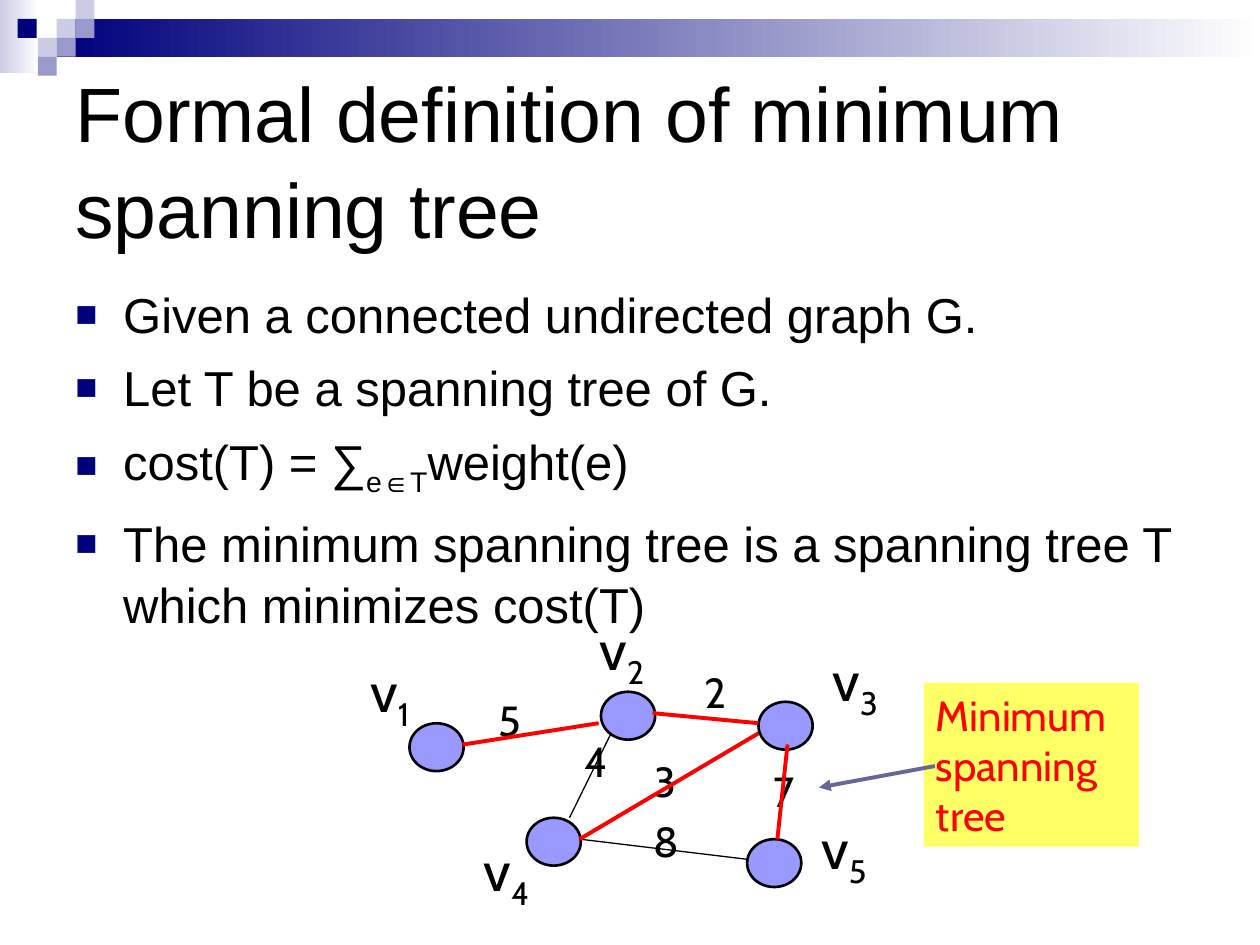
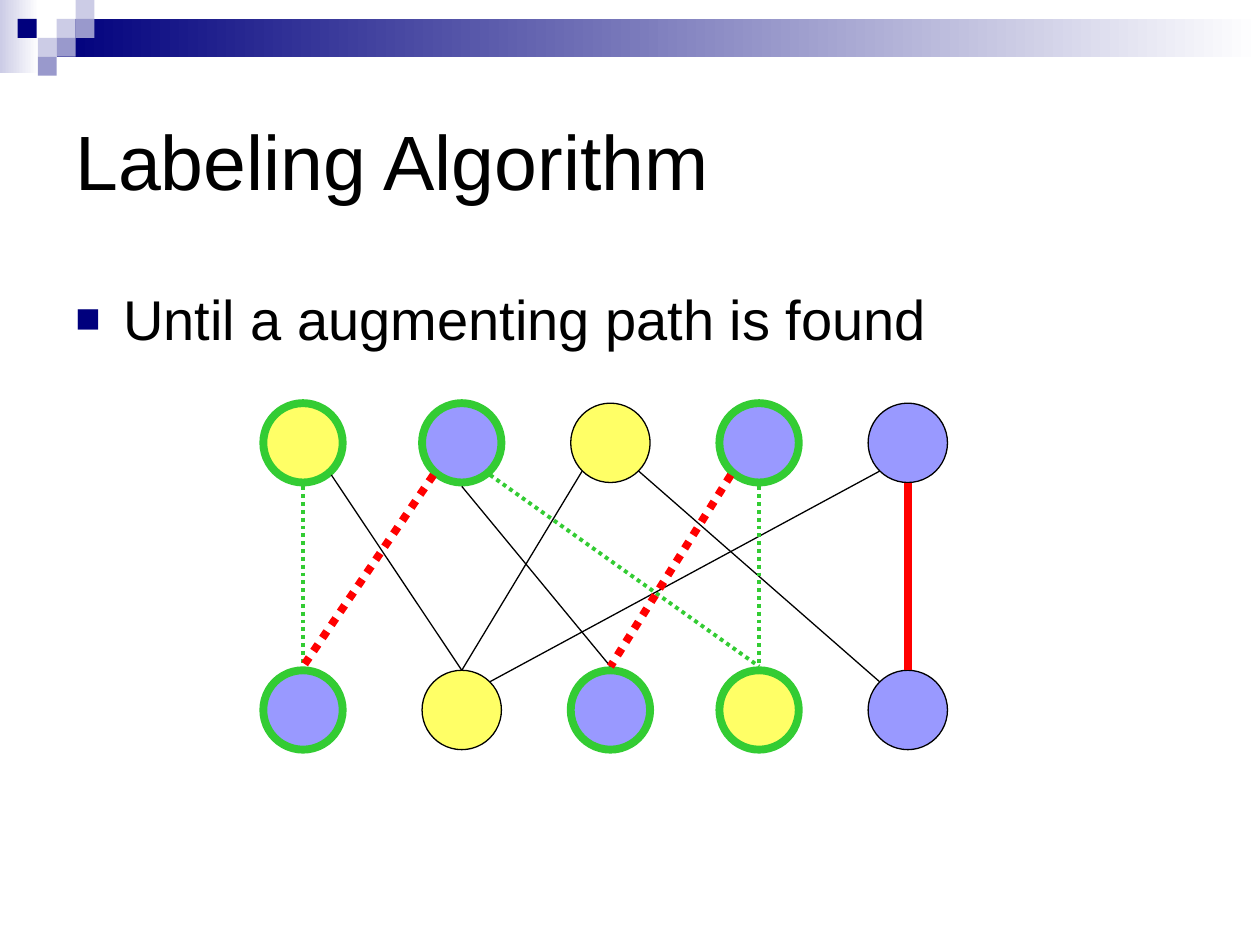
from lxml import etree
from pptx import Presentation
from pptx import util as u
from pptx.dml.color import RGBColor
from pptx.enum import dml, shapes, text
from pptx.oxml import ns

COLS, ROWS = 100, 75
BLACK, NAVY, RED, GREEN = "000000", "00007D", "FF0000", "33CC33"
PALE, MID, SLATE = "CCCCE6", "9999CC", "666699"
VIOLET, YELLOW = "9999FF", "FFFF66"
BODY_FONT, GRAPH_FONT = "Arial", "Cabin"


def rgb(hex_string):
    return RGBColor.from_string(hex_string)


def sub(parent, tag, **attrs):
    return etree.SubElement(parent, ns.qn(tag), attrs)


def add_bullet(p):
    pPr = p._p.get_or_add_pPr()
    pPr.set("marL", str(u.Inches(0.38)))
    pPr.set("indent", str(-u.Inches(0.38)))
    sub(sub(pPr, "a:buClr"), "a:srgbClr", val=NAVY)
    sub(pPr, "a:buSzPct", val="75000")
    sub(pPr, "a:buFont", typeface=BODY_FONT)
    sub(pPr, "a:buChar", char="■")


def write(tf, lines, size=24, font=BODY_FONT, color=BLACK, bullet=False,
          before=0, spacing=None):
    """Fill a text frame; parts between underscores become subscripts."""
    for i, line in enumerate(lines):
        p = tf.add_paragraph() if i else tf.paragraphs[0]
        p.alignment = text.PP_ALIGN.LEFT
        p.space_before = u.Pt(before if i else 0)
        if spacing:
            p.line_spacing = spacing
        if bullet:
            add_bullet(p)
        for part, content in enumerate(line.split("_")):
            r = p.add_run()
            r.text = content
            r.font.size, r.font.name = u.Pt(size), font
            r.font.color.rgb = rgb(color)
            if part % 2:
                r._r.get_or_add_rPr().set("baseline", "-25000")


class Deck:
    """Shared style plus the current slide, on a grid of 100 by 75 cells."""

    def __init__(self):
        self.prs = Presentation()
        self.prs.slide_width, self.prs.slide_height = u.Inches(10), u.Inches(7.5)
        self.s = None

    def grid(self, x, y):
        return (round(x * self.prs.slide_width / COLS),
                round(y * self.prs.slide_height / ROWS))

    def new_slide(self, title):
        self.s = self.prs.slides.add_slide(self.prs.slide_layouts[6])
        self.band()
        self.textbox(5, 5, 90, 15, [title], size=44, spacing=1.04,
                     anchor=text.MSO_ANCHOR.MIDDLE)

    def band(self):
        self.shape(0, 0, 3.1, 5.8, gradient=PALE)
        self.shape(4.5, 1.5, 95.5, 3, gradient=NAVY)
        for x, y, color in [(4.5, 1.5, PALE), (6, 0, PALE), (6, 1.5, MID),
                            (3, 3, PALE), (1.4, 1.5, NAVY), (4.5, 3, MID),
                            (3, 4.5, MID)]:
            self.shape(x, y, 1.5, 1.5, fill=color)

    def shape(self, x, y, w, h, kind="RECTANGLE", fill=None, gradient=None,
              line=None, width=0.75):
        """Add a preset shape; a gradient runs from its colour to white."""
        sp = self.s.shapes.add_shape(shapes.MSO_SHAPE[kind],
                                     *self.grid(x, y), *self.grid(w, h))
        sp.shadow.inherit = False
        if gradient:
            sp.fill.gradient()
            sp.fill.gradient_angle = 180
            for stop, color in zip(sp.fill.gradient_stops, ("FFFFFF", gradient)):
                stop.color.rgb = rgb(color)
        else:
            sp.fill.solid()
            sp.fill.fore_color.rgb = rgb(fill)
        if line:
            sp.line.color.rgb = rgb(line)
            sp.line.width = u.Pt(width)
        else:
            sp.line.fill.background()
        return sp

    def textbox(self, x, y, w, h, lines, anchor=text.MSO_ANCHOR.TOP,
                wrap=True, **style):
        box = self.s.shapes.add_textbox(*self.grid(x, y), *self.grid(w, h))
        tf = box.text_frame
        tf.word_wrap, tf.vertical_anchor = wrap, anchor
        if not wrap:
            tf.auto_size = text.MSO_AUTO_SIZE.SHAPE_TO_FIT_TEXT
        write(tf, lines, **style)
        return box

    def bullets(self, lines, size):
        self.textbox(5, 21.9, 90, 42.5, lines, size=size, bullet=True,
                     before=size / 4, spacing=1.04)

    def label(self, x, y, content, size):
        w, h = (5.7, 7.1) if size == 32 else (3.9, 5)
        self.textbox(x, y, w, h, [content], wrap=False, size=size,
                     font=GRAPH_FONT)

    def line(self, start, end, color=BLACK, width=0.75, dotted=False,
             arrow=False):
        c = self.s.shapes.add_connector(shapes.MSO_CONNECTOR.STRAIGHT,
                                        *self.grid(*start), *self.grid(*end))
        c.line.color.rgb = rgb(color)
        c.line.width = u.Pt(width)
        if dotted:
            c.line.dash_style = dml.MSO_LINE.ROUND_DOT
        if arrow:
            sub(c.line._get_or_add_ln(), "a:tailEnd", type="triangle")
        sub(c._element.spPr, "a:effectLst")


def spanning_tree_slide(deck):
    deck.new_slide("Formal definition of minimum spanning tree")
    deck.bullets(["Given a connected undirected graph G.",
                  "Let T be a spanning tree of G.",
                  "cost(T) = ∑_e∈T_weight(e)",
                  "The minimum spanning tree is a spanning tree T "
                  "which minimizes cost(T)"], size=28)

    # vertex corner, then label corner
    vertices = {"v_1": ((32.5, 57.4), (28.4, 51.6)),
                "v_2": ((47.7, 54.9), (46.6, 48.3)),
                "v_3": ((60.2, 55.7), (65.1, 50.7)),
                "v_4": ((41.8, 64.9), (37.4, 65.8)),
                "v_5": ((59.3, 66.6), (64.2, 64.1))}
    # weight, weight corner, ends, whether the edge is in the tree
    edges = [("5", (38.6, 54.6), (36.7, 59.1), (47.5, 57.4), True),
             ("2", (54.9, 52.4), (60.2, 57.4), (51.8, 56.6), True),
             ("3", (50.9, 59.5), (60.2, 58.2), (46, 66.6), True),
             ("7", (60.4, 60.3), (61.7, 66.6), (62.5, 59.1), True),
             ("8", (50.9, 64.2), (59.3, 68.2), (46, 66.6), False),
             ("4", (45.4, 57.9), (48.5, 58.2), (45.2, 64.9), False)]
    for corner, _ in vertices.values():
        deck.shape(*corner, 4.3, 3.8, "OVAL", VIOLET, line=BLACK, width=1.5)
    for _, _, start, end, _ in edges:
        deck.line(start, end)
    for name, (_, corner) in vertices.items():
        deck.label(*corner, name, 32)
    for weight, corner, *_ in edges:
        deck.label(*corner, weight, 24)
    for _, _, start, end, in_tree in edges:
        if in_tree:
            deck.line(start, end, RED, 2.25)

    note = deck.textbox(73.3, 54.2, 17.1, 13, ["Minimum", "spanning", "tree"],
                        wrap=False, font=GRAPH_FONT, color=RED)
    note.fill.solid()
    note.fill.fore_color.rgb = rgb(YELLOW)
    deck.line((74.2, 60.8), (65, 62.5), SLATE, 2.25, arrow=True)


def labeling_slide(deck):
    deck.new_slide("Labeling Algorithm")
    deck.bullets(["Until a augmenting path is found"], size=32)

    radius, diagonal, ring_gap = 3.15, 2.25, 0.3
    centers_x = [24.05] + [36.65 + 11.8 * i for i in range(4)]
    top_y, bottom_y = 35.15, 56.35
    # one letter per node: Y yellow, V violet; labeled nodes have a green ring
    top, top_labeled = "YVYVV", {0, 1, 3}
    bottom, bottom_labeled = "VYVYV", {0, 2, 3}
    for y, row, labeled in [(top_y, top, top_labeled),
                            (bottom_y, bottom, bottom_labeled)]:
        for i, letter in enumerate(row):
            ring = (GREEN, 4.5) if i in labeled else (BLACK, 0.75)
            deck.shape(centers_x[i] - radius, y - radius, 2 * radius, 2 * radius,
                       "OVAL", YELLOW if letter == "Y" else VIOLET,
                       line=ring[0], width=ring[1])

    def port(node, side, is_top):
        """Point on the inner rim: side -1 left, 0 middle, 1 right."""
        labeled = top_labeled if is_top else bottom_labeled
        drop = (diagonal if side else radius) + ring_gap * (node in labeled)
        y = top_y + drop if is_top else bottom_y - drop
        return centers_x[node] + side * diagonal, y

    plain = {}
    path = dict(color=GREEN, width=2.25, dotted=True)
    matched = dict(color=RED, width=4.5)
    matched_path = dict(matched, dotted=True)
    # top node and side, bottom node and side, style
    for t, t_side, b, b_side, style in [
            (0, 1, 1, 0, plain), (0, 0, 0, 0, path), (1, 1, 3, 0, path),
            (1, 0, 2, 0, plain), (1, -1, 0, 0, matched_path),
            (4, -1, 1, 1, plain), (4, 0, 4, 0, matched), (2, 1, 4, -1, plain),
            (3, -1, 2, 0, matched_path), (3, 0, 3, 0, path),
            (2, -1, 1, 0, plain)]:
        deck.line(port(t, t_side, True), port(b, b_side, False), **style)


def main():
    deck = Deck()
    spanning_tree_slide(deck)
    labeling_slide(deck)
    deck.prs.save("out.pptx")


if __name__ == "__main__":
    main()
